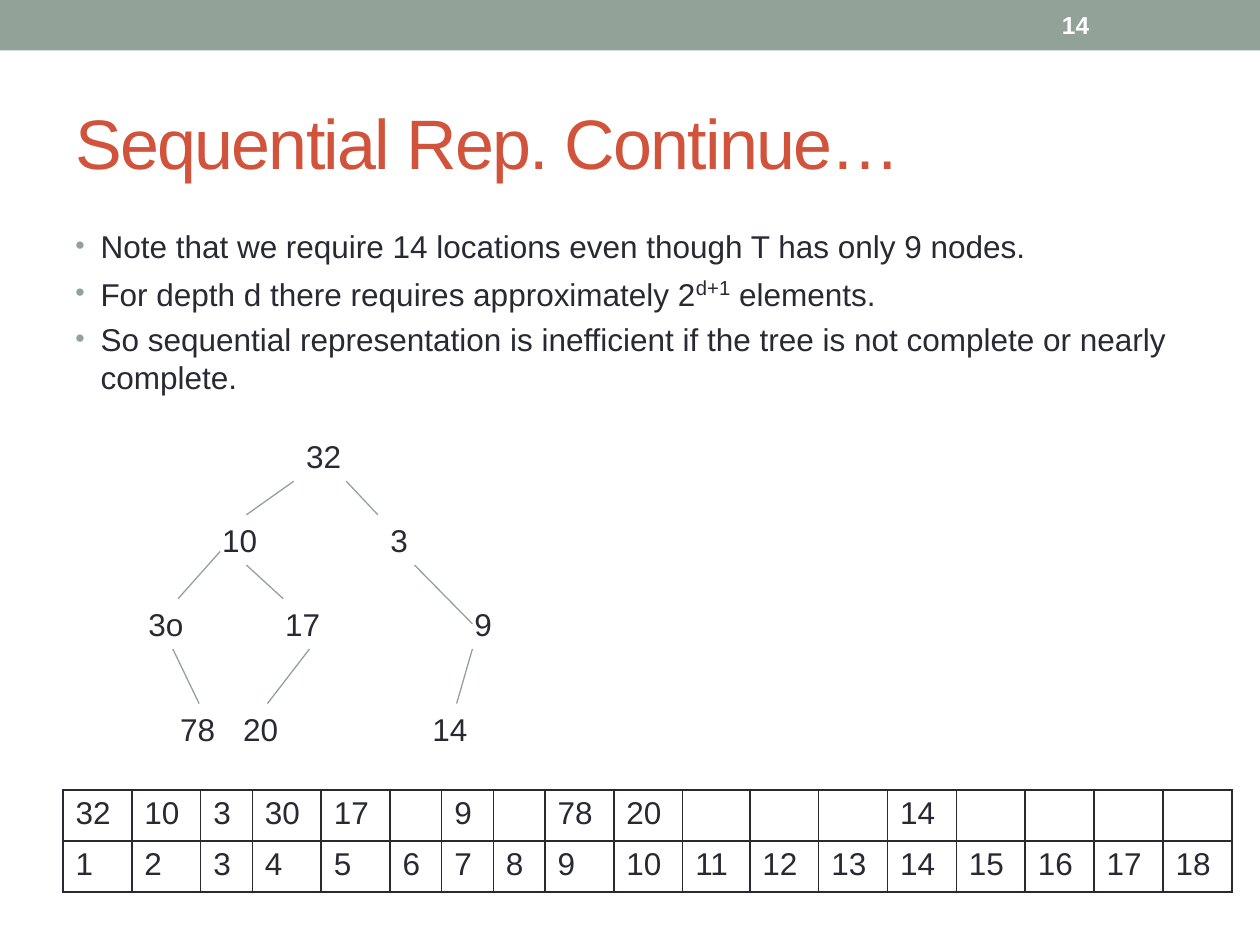
import lxml.etree
import pptx
import pptx.dml.color
import pptx.enum.shapes
import pptx.enum.text
import pptx.oxml.ns
import pptx.util

SAGE = pptx.dml.color.RGBColor(0x93, 0xA2, 0x99)
RUST = pptx.dml.color.RGBColor(0xD2, 0x53, 0x3C)
INK = pptx.dml.color.RGBColor(0x29, 0x29, 0x34)
WHITE = pptx.dml.color.RGBColor(0xFF, 0xFF, 0xFF)

WIDTH, HEIGHT = 10, 7.5
BODY = {"size": pptx.util.Pt(18), "name": "Arial", "color": INK}
TITLE = {"size": pptx.util.Pt(40), "name": "Arial", "color": RUST}
NUMBER = {"size": pptx.util.Pt(14), "name": "Arial", "color": WHITE, "bold": True}
SUPERSCRIPT = {**BODY, "size": pptx.util.Pt(20)}

BULLETS = [
    [("Note that we require 14 locations even though T has only 9 nodes.", BODY)],
    [("For depth d there requires approximately 2", BODY), ("d+1", SUPERSCRIPT),
     (" elements.", BODY)],
    [("So sequential representation is inefficient if the tree is not complete "
      "or nearly complete.", BODY)],
]

# The tree stands on a grid of 38 columns and 31 rows: label -> column, row
TREE_COLUMNS, TREE_ROWS = 38, 31
NODE_COLUMNS, NODE_ROWS = 7, 4.8
NODES = {"32": (15, 0), "10": (7, 8), "3": (23, 8), "3o": (0, 16), "17": (13, 16),
         "9": (31, 16), "78": (3, 26), "20": (9, 26), "14": (27, 26)}
# An edge end is a node (bottom of the parent, top of the child) or a grid point
EDGES = [((15, 4.8), "10"), ((20, 4.8), (23, 8)), ((8, 11.5), (4, 16)),
         ("10", (14, 16)), ("3o", (6, 26)), ("17", "20"),
         ("3", (32, 18.4)), ((32, 20.8), "14")]

# Array contents by location
STORED = {1: "32", 2: "10", 3: "3", 4: "30", 5: "17", 7: "9", 9: "78", 10: "20",
          14: "14"}
LOCATIONS = range(1, 19)
COLUMN_SHARES = {3: 3, 6: 3, 7: 3, 8: 3, 11: 3.9}
USUAL_SHARE = 4


def add_xml(parent, tag, **attributes):
    return lxml.etree.SubElement(parent, pptx.oxml.ns.qn(tag), attributes)


def share_box(left, top, width, height):
    """Turn shares of the slide into a box in lengths."""
    return [pptx.util.Inches(share * side) for share, side in
            zip((left, top, width, height), (WIDTH, HEIGHT, WIDTH, HEIGHT))]


def add_run(paragraph, text, style):
    run = paragraph.add_run()
    run.text = text
    for key, value in style.items():
        if key == "color":
            run.font.color.rgb = value
        else:
            setattr(run.font, key, value)
    return run


def add_text(shapes, box, text, style, anchor=pptx.enum.text.MSO_ANCHOR.TOP):
    shape = shapes.add_textbox(*box)
    shape.text_frame.word_wrap = True
    shape.text_frame.vertical_anchor = anchor
    run = add_run(shape.text_frame.paragraphs[0], text, style)
    return shape, run


def add_header(slide, box):
    """Band across the top with the slide number."""
    left, top, width, height = box
    band = slide.shapes.add_shape(pptx.enum.shapes.MSO_SHAPE.RECTANGLE, *box)
    band.shadow.inherit = False
    band.fill.solid()
    band.fill.fore_color.rgb = SAGE
    band.line.fill.background()
    number_box = (left + int(width * 0.833), top + int(height * 0.05),
                  int(width * 0.117), int(height * 0.9))
    add_text(slide.shapes, number_box, "14", NUMBER, pptx.enum.text.MSO_ANCHOR.MIDDLE)


def add_title(slide, box):
    _, run = add_text(slide.shapes, box, "Sequential Rep. Continue…", TITLE,
                      pptx.enum.text.MSO_ANCHOR.MIDDLE)
    run.font._element.set("spc", "-100")


def add_bullets(slide, box):
    frame = slide.shapes.add_textbox(*box).text_frame
    frame.word_wrap = True
    indent = pptx.util.Inches(0.2)
    for index, parts in enumerate(BULLETS):
        paragraph = frame.add_paragraph() if index else frame.paragraphs[0]
        properties = paragraph._p.get_or_add_pPr()
        properties.set("marL", str(indent))
        properties.set("indent", str(-indent))
        add_xml(add_xml(properties, "a:spcBef"), "a:spcPct", val="20000")
        add_xml(add_xml(properties, "a:buClr"), "a:srgbClr", val=str(SAGE))
        add_xml(properties, "a:buSzPct", val="85000")
        add_xml(properties, "a:buFont", typeface="Arial")
        add_xml(properties, "a:buChar", char="•")
        for text, style in parts:
            run = add_run(paragraph, text, style)
            if style is SUPERSCRIPT:
                run.font._element.set("baseline", "30000")


def add_tree(slide, box):
    """Binary tree: labels on a grid, joined by thin lines."""
    left, top, width, height = box
    group = slide.shapes.add_group_shape()
    column, row = width / TREE_COLUMNS, height / TREE_ROWS

    def place(point):
        return int(left + point[0] * column), int(top + point[1] * row)

    node_size = (int(NODE_COLUMNS * column), int(NODE_ROWS * row))
    nodes = {}
    for label, point in NODES.items():
        nodes[label], _ = add_text(group.shapes, (*place(point), *node_size), label, BODY)
        nodes[label].text_frame.auto_size = pptx.enum.text.MSO_AUTO_SIZE.SHAPE_TO_FIT_TEXT

    for parent, child in EDGES:
        start, end = (place(NODES.get(stop, stop)) for stop in (parent, child))
        edge = group.shapes.add_connector(
            pptx.enum.shapes.MSO_CONNECTOR.STRAIGHT, *start, *end)
        if parent in nodes:
            edge.begin_connect(nodes[parent], 2)
        if child in nodes:
            edge.end_connect(nodes[child], 0)
        edge.line.color.rgb = SAGE
        edge.line.width = pptx.util.Pt(0.75)
        add_xml(edge._element.spPr, "a:effectLst")


def style_cell(cell):
    properties = cell._tc.get_or_add_tcPr()
    for side in ("a:lnL", "a:lnR", "a:lnT", "a:lnB"):
        line = add_xml(properties, side, w=str(pptx.util.Pt(1)))
        add_xml(add_xml(line, "a:solidFill"), "a:srgbClr", val=str(INK))
    cell.fill.background()


def add_array(slide, box):
    """Array table: stored values above their locations."""
    width, height = box[2:]
    table = slide.shapes.add_table(2, len(LOCATIONS), *box).table
    table.first_row = table.horz_banding = False
    for row in table.rows:
        row.height = height // 2
    shares = [COLUMN_SHARES.get(location, USUAL_SHARE) for location in LOCATIONS]
    for index, location in enumerate(LOCATIONS):
        table.columns[index].width = int(width * shares[index] / sum(shares))
        for row, text in enumerate((STORED.get(location, ""), str(location))):
            cell = table.cell(row, index)
            style_cell(cell)
            if text:
                add_run(cell.text_frame.paragraphs[0], text, BODY)


def main():
    presentation = pptx.Presentation()
    presentation.slide_width = pptx.util.Inches(WIDTH)
    presentation.slide_height = pptx.util.Inches(HEIGHT)
    slide = presentation.slides.add_slide(presentation.slide_layouts[6])
    add_header(slide, share_box(0, 0, 1, 0.4 / HEIGHT))
    add_title(slide, share_box(0.05, 0.58 / HEIGHT, 0.9, 1.08 / HEIGHT))
    add_bullets(slide, share_box(0.05, 1.75 / HEIGHT, 0.9, 5.33 / HEIGHT))
    add_tree(slide, share_box(0.108, 3.42 / HEIGHT, 0.317, 2.58 / HEIGHT))
    add_array(slide, share_box(0.05, 6.27 / HEIGHT, 0.928, 0.81 / HEIGHT))
    presentation.save("out.pptx")


if __name__ == "__main__":
    main()
